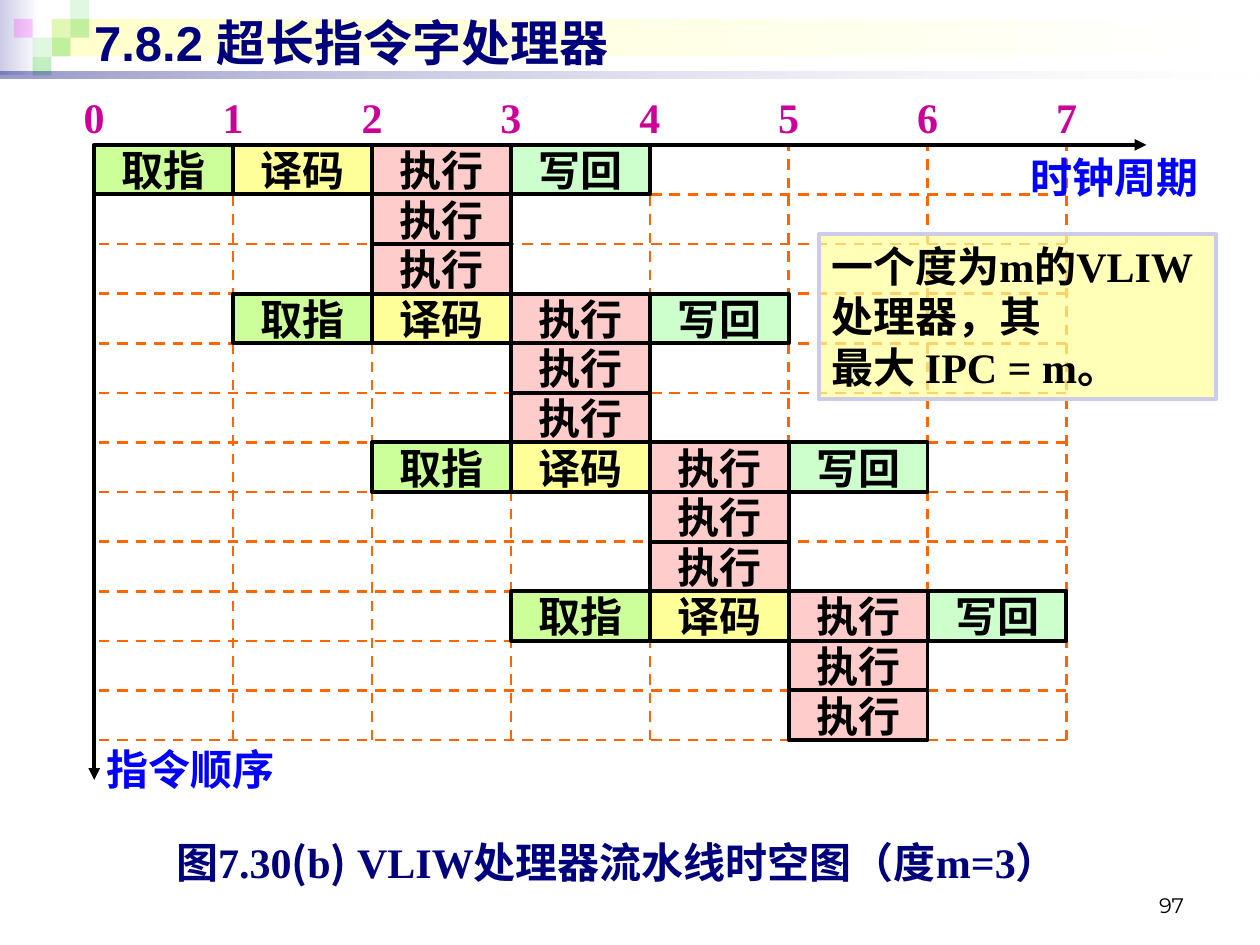
"""Builds the slide with the VLIW pipeline space-time diagram."""
from pptx import Presentation
from pptx.dml.color import RGBColor
from pptx.enum.dml import MSO_LINE
from pptx.enum.shapes import MSO_CONNECTOR, MSO_SHAPE
from pptx.enum.text import MSO_ANCHOR, PP_ALIGN
from pptx.oxml.ns import qn
from pptx.util import Cm, Pt
from lxml.etree import SubElement

SERIF, SANS = "Times New Roman", "Noto Sans CJK SC"
BLACK, NAVY, BLUE = "000000", "00007D", "0000FF"
LEFT, TOP, WIDE, HIGH = 1.9, 2.92, 2.8, 1
COLS, ROWS, DEPTH = 7, 12, 3

deck = Presentation()
deck.slide_width, deck.slide_height = Cm(25.4), Cm(19.05)
slide = deck.slides.add_slide(deck.slide_layouts[6])
hue = RGBColor.from_string


def box(x, y, w, h, fills=(), alphas=(), edge=None):
    place = Cm(x), Cm(y), Cm(w), Cm(h)
    if not fills:
        return slide.shapes.add_textbox(*place)
    shape = slide.shapes.add_shape(MSO_SHAPE.RECTANGLE, *place)
    shape.shadow.inherit = False
    if len(fills) == 1:
        shape.fill.solid()
        shape.fill.fore_color.rgb = hue(fills[0])
    else:
        shape.fill.gradient()
        shape.fill.gradient_angle = 0
        for stop, tint in zip(shape.fill.gradient_stops, fills):
            stop.color.rgb = hue(tint)
    tints = shape.element.spPr.iter(qn("a:srgbClr"))
    for tint, alpha in zip(list(tints), alphas):
        SubElement(tint, qn("a:alpha"), val=str(alpha * 1000))
    if edge:
        shape.line.color.rgb = hue(edge)
        shape.line.width = Pt(2.25)
    else:
        shape.line.fill.background()
    return shape


def write(shape, texts, tint, size=24, font=SERIF, bold=True,
          align=PP_ALIGN.LEFT, anchor=MSO_ANCHOR.MIDDLE, wrap=True):
    frame = shape.text_frame
    frame.word_wrap = wrap
    frame.vertical_anchor = anchor
    par = frame.paragraphs[0]
    par.text = texts[0]
    for text in texts[1:]:
        par.add_run().text = text
    par.alignment = align
    for run in par.runs:
        run.font.size, run.font.bold, run.font.name = Pt(size), bold, font
        run.font.color.rgb = hue(tint)
        SubElement(run.font._element, qn("a:ea"), typeface=SANS)
    return par


box(0, 0, 0.79, 1.52, ("CCCCE6", "FFFFFF"))
box(1.04, 0.38, 24.26, 0.76, ("FFFFCC", "FFFFFF"))
for col, row, tint, alpha in (
        (2, 1, "33CC33", 15), (3, 0, "33CC33", 15), (3, 1, "33CC33", 30),
        (1, 2, "33CC33", 15), (0, 1, "FF00FF", 20), (2, 2, "33CC33", 30),
        (1, 3, "33CC33", 30)):
    box(0.28 + 0.38 * col, 0.38 * row, 0.38, 0.38, (tint,), (alpha,))
box(0, 1.45, 25.4, 0.13, (NAVY, "FFFFFF"), (40, 10))

write(box(18.2, 17.35, 5.92, 1.27), ["97"], BLACK, 12, "Montserrat", False,
      PP_ALIGN.RIGHT, MSO_ANCHOR.BOTTOM)
write(box(1.65, 0.13, 22.86, 1.45), ["7.8.2 超长指令字处理器"], NAVY, 28, "Arial")

right, foot = LEFT + COLS * WIDE, TOP + ROWS * HIGH
lines = [(right, TOP + row * HIGH, LEFT, TOP + row * HIGH, False)
         for row in range(ROWS, 0, -1)]
lines += [(LEFT + col * WIDE, foot, LEFT + col * WIDE, TOP, False)
          for col in range(COLS, 0, -1)]
lines += [(LEFT, TOP, 23.11, TOP, True), (LEFT, TOP, LEFT, 15.72, True)]
for x, y, end, low, axis in lines:
    line = slide.shapes.add_connector(
        MSO_CONNECTOR.STRAIGHT, Cm(x), Cm(y), Cm(end), Cm(low))
    line.line.color.rgb = hue(BLACK if axis else "FF6600")
    line.line.width = Pt(2.25 if axis else 1.5)
    if axis:
        SubElement(line.line._get_or_add_ln(), qn("a:tailEnd"), type="triangle")
    else:
        line.line.dash_style = MSO_LINE.DASH
    SubElement(line.element.spPr, qn("a:effectLst"))

for col in range(COLS + 1):
    write(box(LEFT + col * WIDE - 0.6, 1.73, 1.2, 1.2), [str(col)], "CC0099",
          align=PP_ALIGN.CENTER, anchor=MSO_ANCHOR.TOP, wrap=False)
write(box(19.91, 2.92, 4.5, 1.27), ["时钟周期"], BLUE, align=PP_ALIGN.RIGHT)
write(box(1.9, 14.87, 4.2, 1.27), ["指令顺序"], BLUE)

run = ("执行", "FFCCCC")
stages = [(0, 0, "取指", "CCFF99"), (1, 0, "译码", "FFFF99"),
          (2, 0, *run), (3, 0, "写回", "CCFFCC")]
stages += [(2, step, *run) for step in range(1, DEPTH)]
for word in range(ROWS // DEPTH):
    for col, row, text, tint in stages:
        cell = box(LEFT + (word + col) * WIDE, TOP + (word * DEPTH + row) * HIGH,
                   WIDE, HIGH, (tint,), edge=BLACK)
        write(cell, [text], BLACK, align=PP_ALIGN.CENTER, wrap=False)

note = box(16.51, 4.72, 8, 3.33, ("FFFF99",), (70,), "CCCCE6")
write(note, ["一个度为m的VLIW处理器，其\v最大 IPC = m。"], BLACK,
      anchor=MSO_ANCHOR.TOP)
title = write(box(3.3, 16.74, 18.57, 1.27),
              ["图7.30", "(", "b", ")", " VLIW处理器流水线时空图（度m=3）"], NAVY)
for mark in title.runs[1:4:2]:
    mark.font.name = SANS

deck.save("out.pptx")
